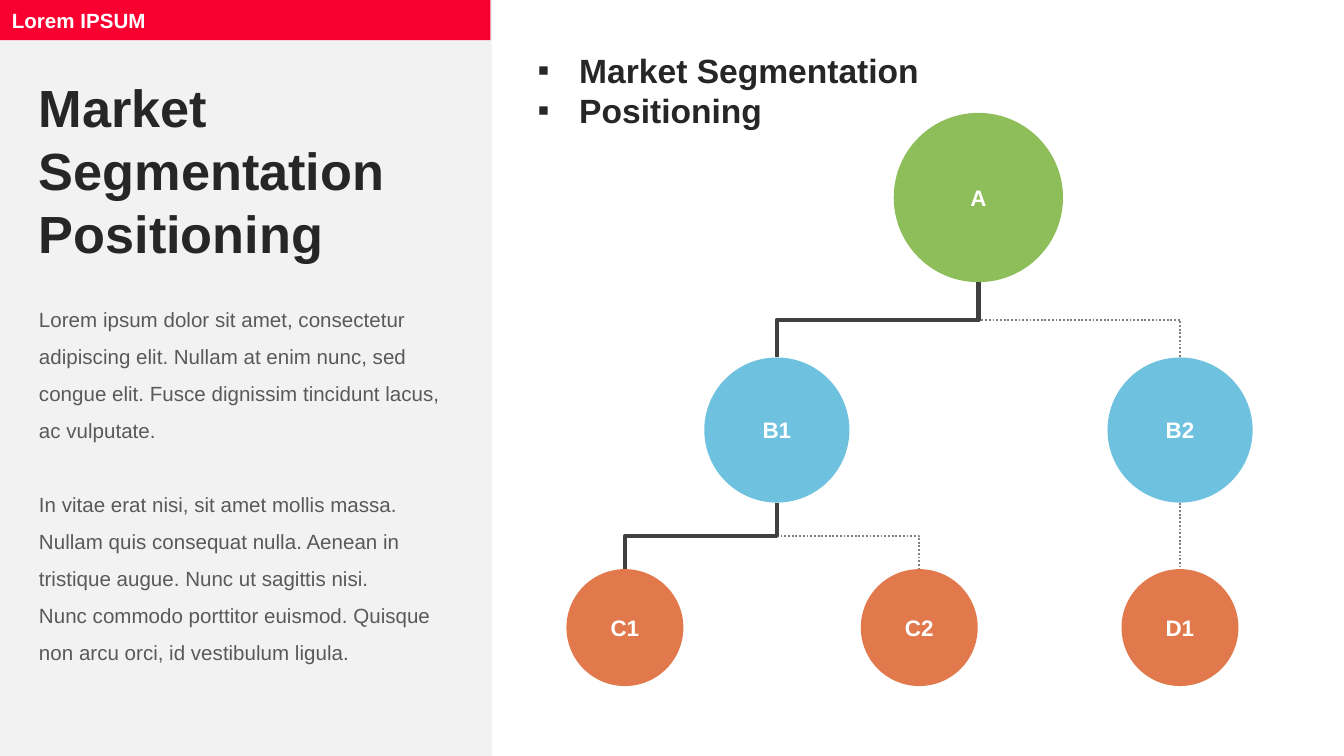
from dataclasses import dataclass

from lxml.etree import SubElement
from pptx import Presentation
from pptx.dml.color import RGBColor as Color
from pptx.enum.dml import MSO_LINE as Dash
from pptx.enum.shapes import MSO_CONNECTOR as Link, MSO_SHAPE as Shape
from pptx.enum.text import MSO_ANCHOR as Anchor, MSO_AUTO_SIZE as Fit, PP_ALIGN as Align
from pptx.oxml.ns import qn
from pptx.util import Inches, Pt


@dataclass(frozen=True)
class Theme:
    font: str = "Arial"
    panel: str = "F2F2F2"
    banner: str = "FA0030"
    heading: str = "262626"
    body: str = "595959"
    light: str = "FFFFFF"
    main_line: str = "404040"
    side_line: str = "808080"
    levels: tuple = ("8EBE5A", "6EC1DF", "E2794C")
    title_size: float = 28
    list_size: float = 18
    node_size: float = 12
    body_size: float = 11


THEME = Theme()
PAGE_WIDTH = 10
PAGE_HEIGHT = PAGE_WIDTH * 9 / 16

# name: (level, centre x, centre y, diameter), relative to the tree's box
NODES = {
    "A": (0, 3.07, 0.63, 1.26),
    "B1": (1, 1.57, 2.36, 1.08),
    "B2": (1, 4.57, 2.36, 1.08),
    "C1": (2, 0.44, 3.83, 0.87),
    "C2": (2, 2.63, 3.83, 0.87),
    "D1": (2, 4.57, 3.83, 0.87),
}
# parent, child, on the main path
BRANCHES = [
    ("A", "B2", False),
    ("B2", "D1", False),
    ("B1", "C2", False),
    ("A", "B1", True),
    ("B1", "C1", True),
]


def place(item, left, top, width, height):
    item.left, item.top = Inches(left), Inches(top)
    item.width, item.height = Inches(width), Inches(height)


def set_bullet(para, char=None, indent=0.0):
    props = para._p.get_or_add_pPr()
    props.set("marL", str(Inches(indent)))
    props.set("indent", str(-Inches(indent)))
    if char:
        SubElement(props, qn("a:buFont"), typeface=THEME.font)
        SubElement(props, qn("a:buChar"), char=char)
    else:
        SubElement(props, qn("a:buNone"))


def write(frame, lines, size, color, bold=False, align=Align.LEFT,
          anchor=Anchor.TOP, spacing=1.0, bullet=None, indent=0.0):
    frame.word_wrap = True
    frame.auto_size = Fit.NONE
    frame.vertical_anchor = anchor
    for index, line in enumerate(lines):
        para = frame.paragraphs[0] if index == 0 else frame.add_paragraph()
        para.alignment = align
        para.line_spacing = spacing
        para.space_before = Pt(0)
        set_bullet(para, bullet, indent)
        span = para.add_run()
        span.text = line
        span.font.name = THEME.font
        span.font.size = Pt(size)
        span.font.bold = bold
        span.font.color.rgb = Color.from_string(color)


def add_filled(page, kind, box, color):
    item = page.shapes.add_shape(kind, *(Inches(value) for value in box))
    item.shadow.inherit = False
    item.fill.solid()
    item.fill.fore_color.rgb = Color.from_string(color)
    item.line.fill.background()
    return item


def add_side_panel(page, title, body, left, top, width, height):
    # Background goes behind the placeholders
    panel = add_filled(page, Shape.RECTANGLE, (left, top, width, height), THEME.panel)
    panel.element.getparent().insert(2, panel.element)

    banner = add_filled(page, Shape.RECTANGLE, (left - 0.01, top, width, 0.3), THEME.banner)
    write(banner.text_frame, ["Lorem IPSUM"], THEME.body_size, THEME.light,
          bold=True, anchor=Anchor.MIDDLE)

    place(title, left + 0.19, top + 0.51, 3.27, 1.51)
    write(title.text_frame, ["Market Segmentation", "Positioning"],
          THEME.title_size, THEME.heading, bold=True)

    place(body, left + 0.19, top + 2.14, 3.27, 2.88)
    write(body.text_frame, [
        "Lorem ipsum dolor sit amet, consectetur adipiscing elit. Nullam at enim nunc, "
        "sed congue elit. Fusce dignissim tincidunt lacus, ac vulputate.",
        "In vitae erat nisi, sit amet mollis massa. Nullam quis consequat nulla. "
        "Aenean in tristique augue. Nunc ut sagittis nisi.",
        "Nunc commodo porttitor euismod. Quisque non arcu orci, id vestibulum ligula.",
    ], THEME.body_size, THEME.body, spacing=1.5)
    # One line's gap between the two blocks
    body.text_frame.paragraphs[1].space_before = Pt(19.8)


def add_topics(topics, left, top, width, height):
    place(topics, left, top, width, height)
    write(topics.text_frame, ["Market Segmentation", "Positioning"],
          THEME.list_size, THEME.heading, bold=True, bullet="▪", indent=0.31)


def add_branch(page, start, end, main):
    """Elbow that leaves downwards, crosses halfway and arrives downwards."""
    (x1, y1), (x2, y2) = start, end
    run, drop = abs(x2 - x1), y2 - y1
    branch = page.shapes.add_connector(Link.ELBOW, 0, 0, 0, 0)
    # The frame is a quarter turn about its centre, so its sides swap
    place(branch, (x1 + x2 - drop) / 2, (y1 + y2 - run) / 2, drop, run)
    frame = branch.element.spPr.find(qn("a:xfrm"))
    rightwards = x2 > x1
    frame.set("rot", str((270 if rightwards else 90) * 60000))
    if rightwards:
        frame.set("flipH", "1")
    branch.line.color.rgb = Color.from_string(THEME.main_line if main else THEME.side_line)
    branch.line.width = Pt(2.25 if main else 1)
    if not main:
        branch.line.dash_style = Dash.ROUND_DOT
    SubElement(branch.element.spPr, qn("a:effectLst"))


def add_tree(page, left, top):
    # Circles
    for name, (level, x, y, size) in NODES.items():
        box = (left + x - size / 2, top + y - size / 2, size, size)
        node = add_filled(page, Shape.OVAL, box, THEME.levels[level])
        write(node.text_frame, [name], THEME.node_size, THEME.light,
              bold=True, align=Align.CENTER, anchor=Anchor.MIDDLE)
    # Branches, from the foot of the parent to the head of the child
    for parent, child, main in BRANCHES:
        _, x1, y1, size1 = NODES[parent]
        _, x2, y2, size2 = NODES[child]
        add_branch(page, (left + x1, top + y1 + size1 / 2),
                   (left + x2, top + y2 - size2 / 2), main)


def main():
    deck = Presentation()
    deck.slide_width, deck.slide_height = Inches(PAGE_WIDTH), Inches(PAGE_HEIGHT)
    page = deck.slides.add_slide(deck.slide_layouts[3])  # Two Content
    title, topics, body = page.placeholders
    add_side_panel(page, title, body, 0, 0, 3.66, PAGE_HEIGHT)
    add_topics(topics, 3.9, 0.32, 5.83, 0.71)
    add_tree(page, 4.21, 0.84)
    deck.save("out.pptx")


if __name__ == "__main__":
    main()
